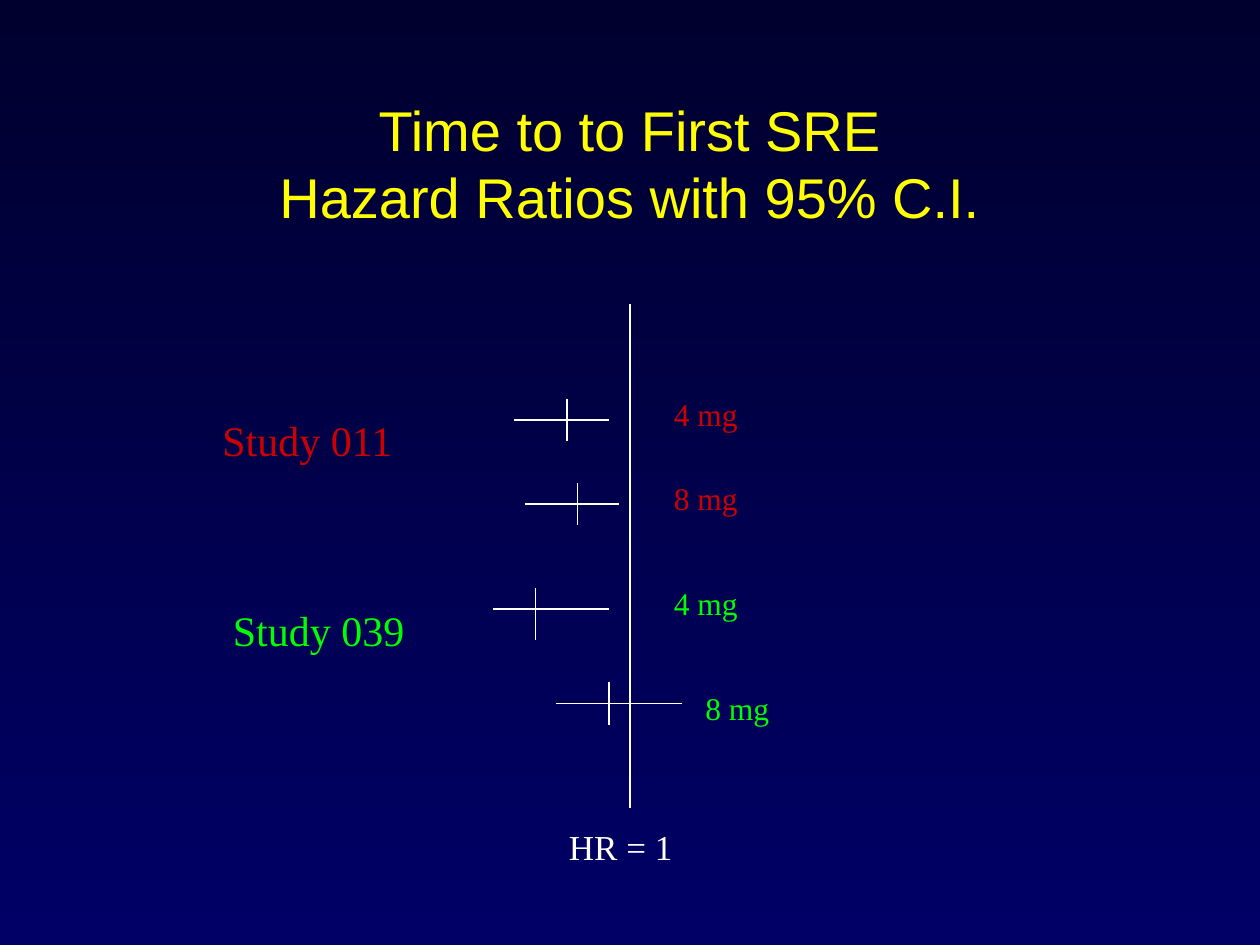
import pptx
import pptx.dml.color
import pptx.enum.shapes
import pptx.enum.text
import pptx.util
from lxml import etree

Pt = pptx.util.Pt
WHITE, YELLOW, RED, GREEN = "FFFFFF", "FFFF00", "CC0000", "00FF00"
HR_ONE = 360

STUDIES = [
    ("Study 011", 120, 233.3, RED),
    ("Study 039", 126, 342, GREEN),
]
# dose, label left, label top, colour, low, estimate, high, y, tick top, tick bottom
DOSES = [
    ("4 mg", 378, 222, RED, 294, 324, 348, 240, 228, 252),
    ("8 mg", 378, 270, RED, 300, 330, 354, 288, 276, 300),
    ("4 mg", 378, 330, GREEN, 282, 306, 348, 348, 336, 366),
    ("8 mg", 396, 390, GREEN, 318, 348, 390, 402, 390, 414),
]


def rgb(color):
    return pptx.dml.color.RGBColor.from_string(color)


def set_background(s, top, bottom):
    fill = s.background.fill
    fill.gradient()
    fill.gradient_angle = 270
    for stop, color in zip(fill.gradient_stops, (top, bottom)):
        stop.color.rgb = rgb(color)


def add_text(s, text, left, top, width, height, *, size, color,
             font="Times New Roman", align=pptx.enum.text.PP_ALIGN.LEFT,
             anchor=pptx.enum.text.MSO_ANCHOR.TOP):
    sp = s.shapes.add_textbox(Pt(left), Pt(top), Pt(width), Pt(height))
    tf = sp.text_frame
    tf.word_wrap = True
    tf.vertical_anchor = anchor
    p = tf.paragraphs[0]
    p.text = text
    p.alignment = align
    for r in p.runs:
        r.font.size = Pt(size)
        r.font.name = font
        r.font.color.rgb = rgb(color)


def add_line(s, x1, y1, x2, y2, color=WHITE):
    line = s.shapes.add_connector(
        pptx.enum.shapes.MSO_CONNECTOR.STRAIGHT, Pt(x1), Pt(y1), Pt(x2), Pt(y2))
    line.line.color.rgb = rgb(color)
    line.line.width = Pt(0.75)
    etree.SubElement(line._element.spPr, pptx.oxml.ns.qn("a:effectLst"))


def add_interval(s, low, estimate, high, y, tick_top, tick_bottom):
    add_line(s, low, y, high, y)
    add_line(s, estimate, tick_top, estimate, tick_bottom)


def main():
    prs = pptx.Presentation()
    prs.slide_width, prs.slide_height = Pt(720), Pt(540)
    s = prs.slides.add_slide(prs.slide_layouts[6])
    set_background(s, "00002F", "000066")

    add_text(s, "Time to to First SRE\vHazard Ratios with 95% C.I.",
             54, 48, 612, 90, size=32, color=YELLOW, font="Arial",
             align=pptx.enum.text.PP_ALIGN.CENTER,
             anchor=pptx.enum.text.MSO_ANCHOR.MIDDLE)
    add_line(s, HR_ONE, 174, HR_ONE, 462)
    for name, left, top, color in STUDIES:
        add_text(s, name, left, top, 138, 36, size=24, color=color)
    for dose, left, top, color, *interval in DOSES:
        add_interval(s, *interval)
        add_text(s, dose, left, top, 84, 28.8, size=18, color=color)
    add_text(s, "HR = 1", 318, 468, 90, 31.5, size=20, color=WHITE)

    prs.save("out.pptx")


if __name__ == "__main__":
    main()
